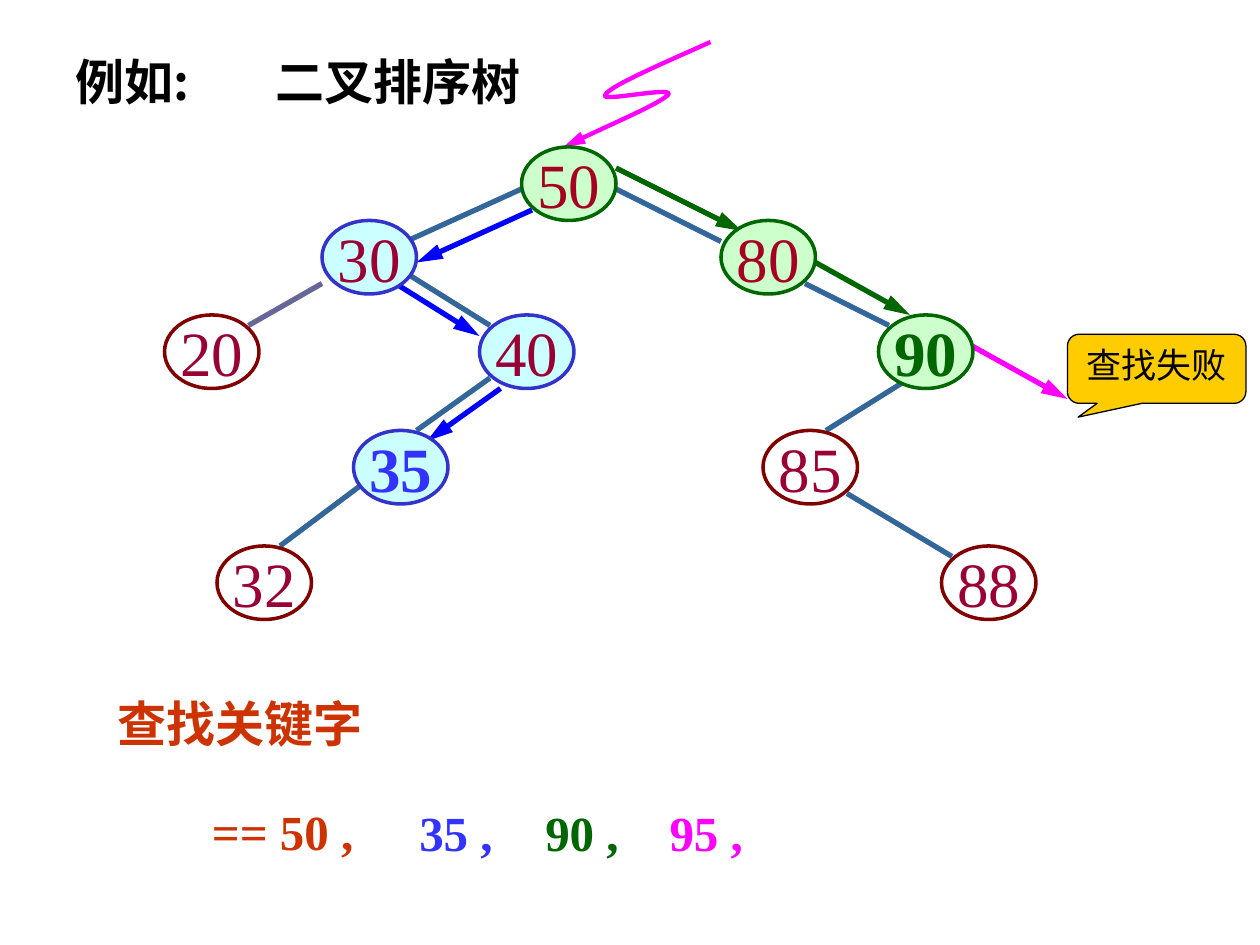
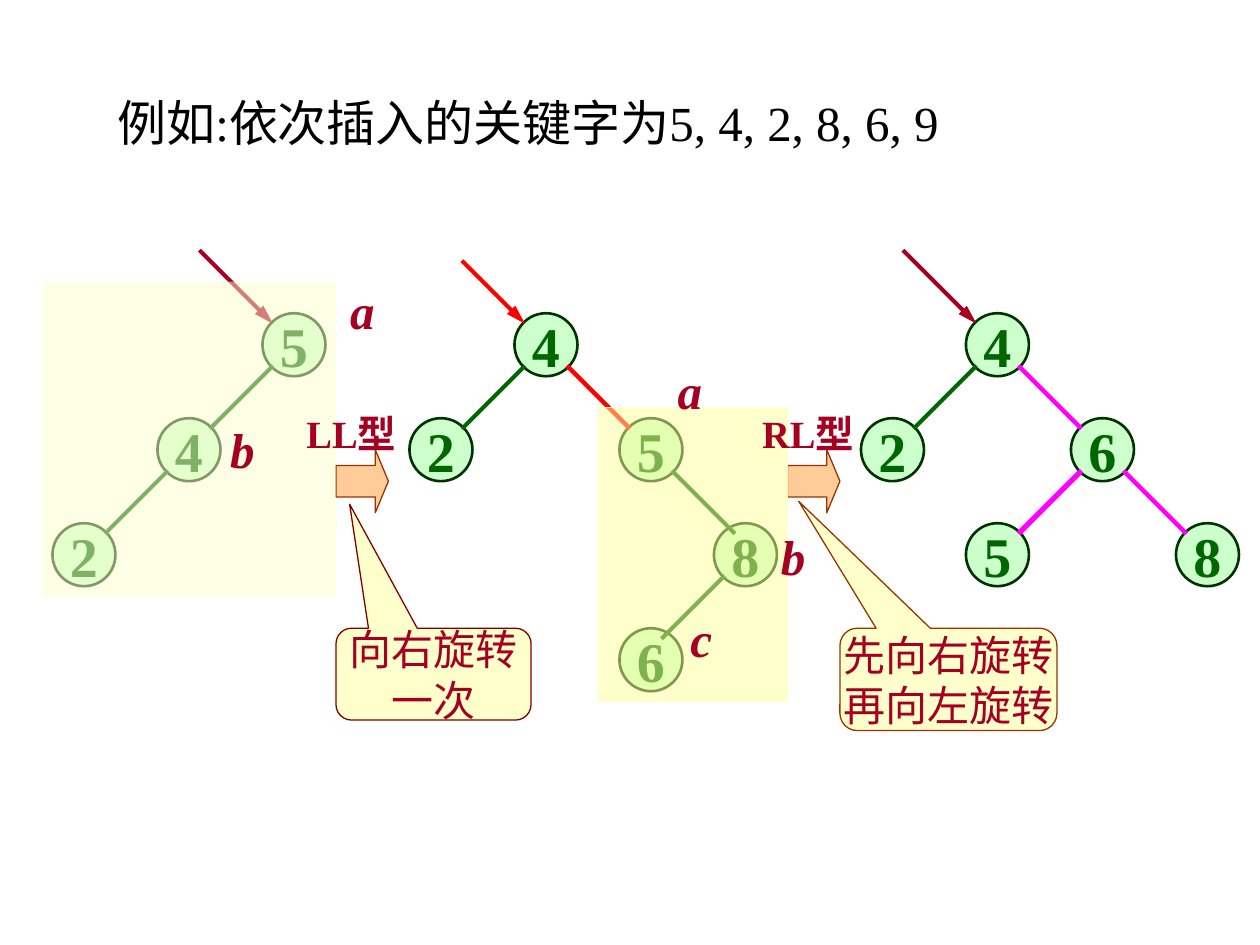
"""Build two slides on searching a binary sort tree and rebalancing by rotation."""
from lxml import etree
from pptx import Presentation
from pptx import util as u
from pptx.dml.color import RGBColor
from pptx.enum import shapes, text
from pptx.oxml.ns import qn

BLACK = RGBColor(0x00, 0x00, 0x00)
MAROON = RGBColor(0x80, 0x00, 0x00)
PLUM = RGBColor(0x99, 0x00, 0x33)
CRIMSON = RGBColor(0xA5, 0x00, 0x21)
RED = RGBColor(0xFF, 0x00, 0x00)
RUST = RGBColor(0xCC, 0x33, 0x00)
BROWN = RGBColor(0x99, 0x33, 0x00)
PEACH = RGBColor(0xFF, 0xCC, 0x99)
GOLD = RGBColor(0xFF, 0xCC, 0x00)
YELLOW = RGBColor(0xFF, 0xFF, 0x99)
CREAM = RGBColor(0xFF, 0xFF, 0xCC)
GREEN = RGBColor(0x00, 0x66, 0x00)
DARK_GREEN = RGBColor(0x00, 0x33, 0x00)
LIGHT_GREEN = RGBColor(0xCC, 0xFF, 0xCC)
STEEL = RGBColor(0x33, 0x66, 0x99)
GREY_BLUE = RGBColor(0x66, 0x66, 0x99)
BLUE = RGBColor(0x00, 0x00, 0xFF)
BRIGHT_BLUE = RGBColor(0x33, 0x33, 0xFF)
INDIGO = RGBColor(0x33, 0x33, 0xCC)
PALE_CYAN = RGBColor(0xCC, 0xFF, 0xFF)
MAGENTA = RGBColor(0xFF, 0x00, 0xFF)
LATIN_FONT = "Times New Roman"
CHINESE_FONT = "Noto Sans CJK SC"
OVAL = shapes.MSO_SHAPE.OVAL
CALLOUT = shapes.MSO_SHAPE.ROUNDED_RECTANGULAR_CALLOUT


def add_text(slide, words, box, kind=None, size=28, color=BLACK, bold=False, italic=False,
             font=LATIN_FONT, fill=None, alpha=None, outline=None, width=0.75,
             wrap=False, centered=None, middle=None, adjustments=()):
    """Add a title, a text box (no kind) or a preset shape, with formatted words."""
    lengths = [u.Pt(value) for value in box]
    preset = kind not in (None, "title")
    if kind == "title":
        shape = slide.shapes.title
        shape.left, shape.top, shape.width, shape.height = lengths
    elif kind is None:
        shape = slide.shapes.add_textbox(*lengths)
    else:
        shape = slide.shapes.add_shape(kind, *lengths)
        shape.shadow.inherit = False
        for index, value in enumerate(adjustments):
            shape.adjustments[index] = value
        if fill is None:
            shape.fill.background()
        else:
            shape.fill.solid()
            shape.fill.fore_color.rgb = fill
        if alpha:
            tint = shape.element.spPr.find(qn("a:solidFill"))[0]
            etree.SubElement(tint, qn("a:alpha")).set("val", str(alpha * 1000))
        if outline is None:
            shape.line.fill.background()
        else:
            shape.line.color.rgb = outline
            shape.line.width = u.Pt(width)
    if not words:
        return
    frame = shape.text_frame
    frame.word_wrap = wrap
    frame.auto_size = (text.MSO_AUTO_SIZE.NONE if preset
                       else text.MSO_AUTO_SIZE.SHAPE_TO_FIT_TEXT)
    middle = preset if middle is None else middle
    centered = preset if centered is None else centered
    frame.vertical_anchor = text.MSO_ANCHOR.MIDDLE if middle else text.MSO_ANCHOR.TOP
    for index, line in enumerate(words.split("\n")):
        paragraph = frame.add_paragraph() if index else frame.paragraphs[0]
        paragraph.alignment = text.PP_ALIGN.CENTER if centered else text.PP_ALIGN.LEFT
        run = paragraph.add_run()
        run.text = line
        run.font.name = font
        run.font.size = u.Pt(size)
        run.font.bold = bold
        run.font.italic = italic
        run.font.color.rgb = color
        etree.SubElement(run.font._element, qn("a:ea")).set("typeface", CHINESE_FONT)


def add_line(slide, points, color, width=3, arrow=False):
    """Add a straight connector through two points, or a Bezier curve through more."""
    if len(points) == 2:
        ends = [u.Pt(value) for point in points for value in point]
        line = slide.shapes.add_connector(shapes.MSO_CONNECTOR.STRAIGHT, *ends)
    else:
        builder = slide.shapes.build_freeform(*points[0], scale=u.Pt(1))
        builder.add_line_segments(points[1:], close=False)
        line = builder.convert_to_shape()
        line.fill.background()
        outline = next(line.element.iter(qn("a:path")))
        for index, segment in enumerate(outline.findall(qn("a:lnTo"))):
            if index % 3 == 0:
                curve = etree.SubElement(outline, qn("a:cubicBezTo"))
            curve.append(segment[0])
            outline.remove(segment)
    line.line.color.rgb = color
    line.line.width = u.Pt(width)
    properties = line.element.spPr
    if arrow:
        head = etree.SubElement(properties.find(qn("a:ln")), qn("a:tailEnd"))
        head.set("type", "triangle")
        head.set("len", "lg")
    etree.SubElement(properties, qn("a:effectLst"))


presentation = Presentation()
presentation.slide_width, presentation.slide_height = u.Pt(720), u.Pt(540)
title_only = presentation.slide_layouts[5]

search = presentation.slides.add_slide(title_only)
add_text(search, "例如:", (36, 26, 79, 41), bold=True, font=CHINESE_FONT)
add_text(search, "二叉排序树", (150.5, 26, 155, 41), kind="title", bold=True)

branches = [
    ((298, 108), (232, 138), STEEL), ((184, 162), (142, 186), GREY_BLUE),
    ((352, 108), (412, 138), STEEL), ((232, 156), (280, 186), STEEL),
    ((280, 216), (238, 246), STEEL), ((460, 162), (508, 186), STEEL),
    ((520, 216), (472, 246), STEEL), ((484, 282), (544, 318), STEEL),
    ((208, 276), (160, 312), STEEL),
]
for start, end, color in branches:
    add_line(search, [start, end], color)

search_steps = [
    ((304, 120), (238, 150), BLUE), ((226, 162), (274, 192), BLUE),
    ((286, 222), (244, 252), BLUE), ((352, 96), (424, 132), GREEN),
    ((466, 150), (520, 180), GREEN), ((556, 198), (610, 228), MAGENTA),
]
for start, end, color in search_steps:
    add_line(search, [start, end], color, arrow=True)
add_line(search, [(406, 24), (377, 37), (349, 49), (346, 54), (341, 59), (385, 49),
                  (382, 54), (377, 59), (349, 71), (322, 84)], MAGENTA, 2.5, arrow=True)

plain = (None, MAROON)
on_blue_route = (PALE_CYAN, INDIGO)
on_green_route = (LIGHT_GREEN, GREEN)
search_nodes = [
    ("20", 94, 180, plain, PLUM), ("85", 436, 246, plain, PLUM),
    ("88", 538, 312, plain, PLUM), ("32", 124, 312, plain, PLUM),
    ("30", 184, 126, on_blue_route, PLUM), ("40", 274, 180, on_blue_route, PLUM),
    ("35", 202, 246, on_blue_route, BRIGHT_BLUE), ("50", 298, 84, on_green_route, CRIMSON),
    ("80", 412, 126, on_green_route, CRIMSON), ("90", 502, 180, on_green_route, GREEN),
]
for key, left, top, (fill, outline), color in search_nodes:
    add_text(search, key, (left, top, 54, 42), kind=OVAL, size=36, color=color,
             bold=key in ("35", "90"), fill=fill, outline=outline, width=2)

add_text(search, "查找失败", (610, 191, 102, 39.5), kind=CALLOUT, size=20, fill=GOLD,
         outline=BLACK, wrap=True, middle=False, adjustments=(-0.44, 0.7, 0.17))
search_keys = [
    ("查找关键字", 60, 392.5, 165, RUST), ("== 50 ,", 114, 454.5, 106, RUST),
    ("35 ,", 232.5, 455, 68, BRIGHT_BLUE), ("90 ,", 304.5, 455, 68, GREEN),
    ("95 ,", 375.5, 455, 68, MAGENTA),
]
for words, left, top, width, color in search_keys:
    add_text(search, words, (left, top, width, 41), color=color, bold=True, wrap=True)

rotation = presentation.slides.add_slide(title_only)
add_text(rotation, "例如:依次插入的关键字为5, 4, 2, 8, 6, 9", (60, 49, 490, 41),
         kind="title", wrap=True)

FIRST_ROW, ROW_STEP, NODE = 179, 60, 36
rotation_nodes = [
    ("5", 150, 0), ("4", 90, 1), ("2", 30, 2),
    ("4", 294, 0), ("2", 234, 1), ("5", 354, 1), ("8", 408, 2), ("6", 354, 3),
    ("4", 552, 0), ("2", 492, 1), ("6", 612, 1), ("5", 552, 2), ("8", 672, 2),
]
for key, left, row in rotation_nodes:
    add_text(rotation, key, (left, FIRST_ROW + row * ROW_STEP, NODE, NODE), kind=OVAL, size=32,
             color=GREEN, bold=True, fill=LIGHT_GREEN, outline=DARK_GREEN, width=1.5)

LEFT, RIGHT = -1, 1
rotation_branches = [
    (150, 0, LEFT, GREEN, 2.25), (90, 1, LEFT, GREEN, 2.25),
    (294, 0, LEFT, GREEN, 2.25), (294, 0, RIGHT, RED, 2.5),
    (354, 1, RIGHT, GREEN, 2.25), (408, 2, LEFT, GREEN, 2.25),
    (552, 0, LEFT, GREEN, 2.25), (552, 0, RIGHT, MAGENTA, 2.5),
    (612, 1, LEFT, MAGENTA, 3), (612, 1, RIGHT, MAGENTA, 2.5),
]
for left, row, side, color, width in rotation_branches:
    x, y = left + 18 + 12 * side, FIRST_ROW + row * ROW_STEP + 30
    add_line(rotation, [(x, y), (x + 36 * side, y + 36)], color, width)
for root, length, color in [(150, 42, CRIMSON), (294, 36, RED), (552, 42, CRIMSON)]:
    x, y = root + 6, FIRST_ROW + 6
    add_line(rotation, [(x - length, y - length), (x, y)], color, 2.25, arrow=True)

for left in (192, 450):
    add_text(rotation, "", (left, 257, 30, 36), kind=shapes.MSO_SHAPE.RIGHT_ARROW,
             fill=PEACH, outline=BROWN, adjustments=(0.5, 0.25))
for box, fill, outline in [((342, 233, 108, 168), YELLOW, CREAM),
                           ((24, 161, 168, 180), CREAM, None)]:
    add_text(rotation, "", box, kind=shapes.MSO_SHAPE.RECTANGLE, fill=fill, alpha=50,
             outline=outline)
for words, box, outline, tip in [
        ("向右旋转\n一次", (192, 359, 111.5, 52.5), MAROON, (-0.43, -1.85, 0.17)),
        ("先向右旋转\n再向左旋转", (480, 359, 124, 58.5), BROWN, (-0.69, -1.74, 0.17))]:
    add_text(rotation, words, box, kind=CALLOUT, size=24, color=CRIMSON, fill=CREAM,
             outline=outline, adjustments=tip)

for words, left in [("LL型", 167), ("RL型", 428)]:
    add_text(rotation, words, (left, 230.5, 67.5, 34), size=22, color=CRIMSON, bold=True,
             wrap=True, centered=True)
for words, left, top, width in [("a", 184.5, 157, 45), ("a", 374.5, 202.5, 39.5),
                                ("b", 116, 236, 45), ("b", 433.5, 297.5, 39.5),
                                ("c", 381, 344, 39.5)]:
    add_text(rotation, words, (left, top, width, 41), color=CRIMSON, bold=True, italic=True,
             wrap=True, centered=True)

presentation.save("out.pptx")
